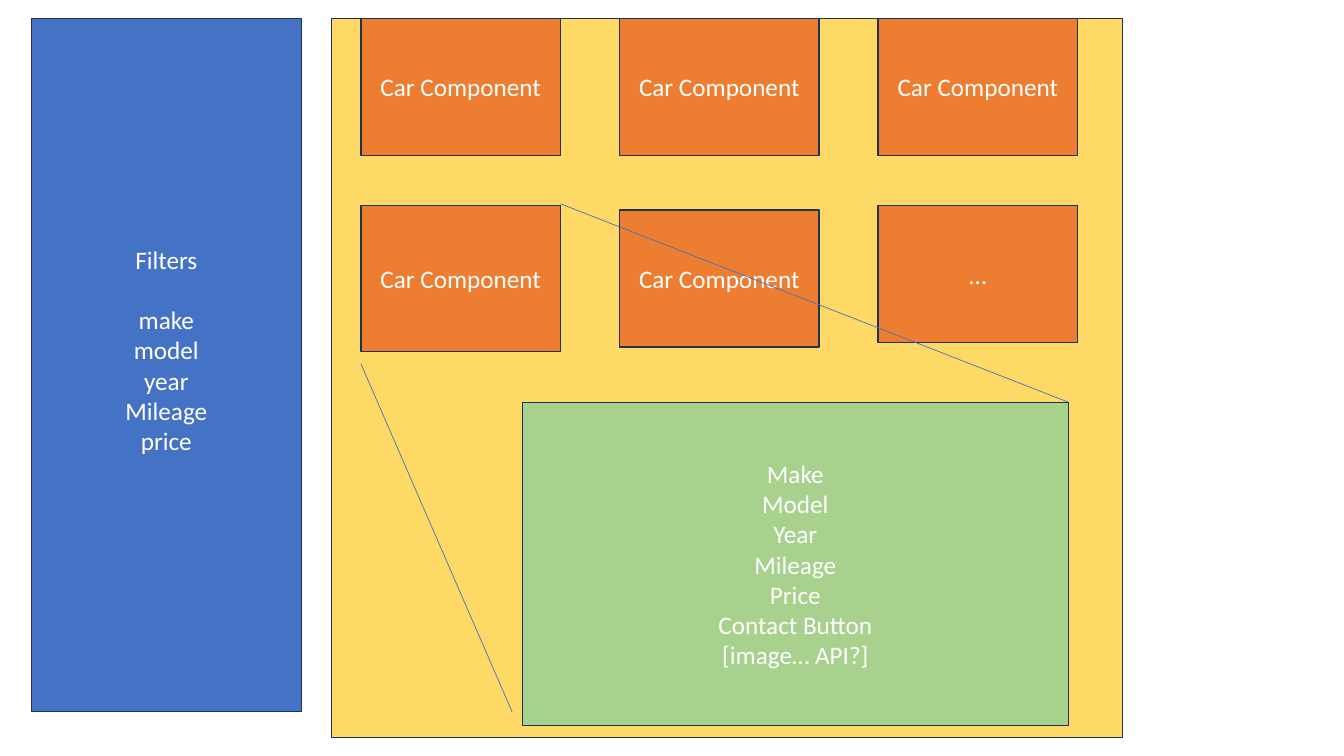
import pptx
import pptx.util
import pptx.dml.color
import pptx.enum.shapes
import pptx.enum.text
import pptx.oxml.ns
import lxml.etree

Pt = pptx.util.Pt
RGBColor = pptx.dml.color.RGBColor

WHITE = RGBColor(0xFF, 0xFF, 0xFF)
NAVY = RGBColor(0x1E, 0x32, 0x56)
BLUE = RGBColor(0x44, 0x72, 0xC4)
YELLOW = RGBColor(0xFF, 0xD9, 0x66)
ORANGE = RGBColor(0xED, 0x7D, 0x31)
GREEN = RGBColor(0xA9, 0xD1, 0x8E)

LINE_HEIGHT = 21.6
INSET = 3.6


class Wireframe:
    font_format = {"name": "Calibri", "size": Pt(18)}
    frame_format = {
        "word_wrap": True,
        "vertical_anchor": pptx.enum.text.MSO_ANCHOR.MIDDLE,
    }

    def __init__(self, slide):
        self.slide = slide

    def apply(self, target, values):
        for key, value in values.items():
            setattr(target, key, value)

    def box(self, left, top, width, height, fill, lines=()):
        panel = self.slide.shapes.add_shape(
            pptx.enum.shapes.MSO_SHAPE.RECTANGLE,
            Pt(left), Pt(top), Pt(width), Pt(height))
        panel.shadow.inherit = False
        panel.fill.solid()
        panel.fill.fore_color.rgb = fill
        panel.line.color.rgb = NAVY
        panel.line.width = Pt(1)
        frame = panel.text_frame
        self.apply(frame, self.frame_format)
        for index, wording in enumerate(lines):
            paragraph = frame.add_paragraph() if index else frame.paragraphs[0]
            paragraph.alignment = pptx.enum.text.PP_ALIGN.CENTER
            run = paragraph.add_run()
            run.text = wording
            self.apply(run.font, self.font_format)
            run.font.color.rgb = WHITE
        return panel

    def guide(self, start, end):
        zoom = self.slide.shapes.add_connector(
            pptx.enum.shapes.MSO_CONNECTOR.STRAIGHT,
            *[Pt(value) for value in (*start, *end)])
        zoom.line.color.rgb = BLUE
        zoom.line.width = Pt(0.5)
        lxml.etree.SubElement(
            zoom._element.spPr, pptx.oxml.ns.qn("a:effectLst"))


def main():
    deck = pptx.Presentation()
    deck.slide_width, deck.slide_height = Pt(960), Pt(540)
    page = Wireframe(deck.slides.add_slide(deck.slide_layouts[6]))

    page.box(237, 13, 565, 514, YELLOW)
    filters = page.box(22.3, 13, 193, 495.4, BLUE,
                       ["Filters", "make", "model", "year", "Mileage", "price"])
    filters.text_frame.paragraphs[1].space_before = Pt(LINE_HEIGHT)
    filters.text_frame.margin_bottom = Pt(INSET + LINE_HEIGHT)

    car = "Car Component"
    car_rows = [
        [(car, 13, 98), (car, 13, 98), (car, 13, 98)],
        [(car, 146.9, 104.4), (car, 150, 98), ("…", 146.9, 98)],
    ]
    for row in car_rows:
        for column, (label, top, height) in enumerate(row):
            page.box(257.8 + column * 184.7, top, 142.6, height, ORANGE, [label])

    page.box(373, 287.3, 390.2, 231.1, GREEN,
             ["Make", "Model", "Year", "Mileage", "Price",
              "Contact Button", "[image… API?]"])
    page.guide((257.8, 259.9), (365.8, 508.4))
    page.guide((400.4, 145.6), (763.2, 287.3))

    deck.save("out.pptx")


if __name__ == "__main__":
    main()
